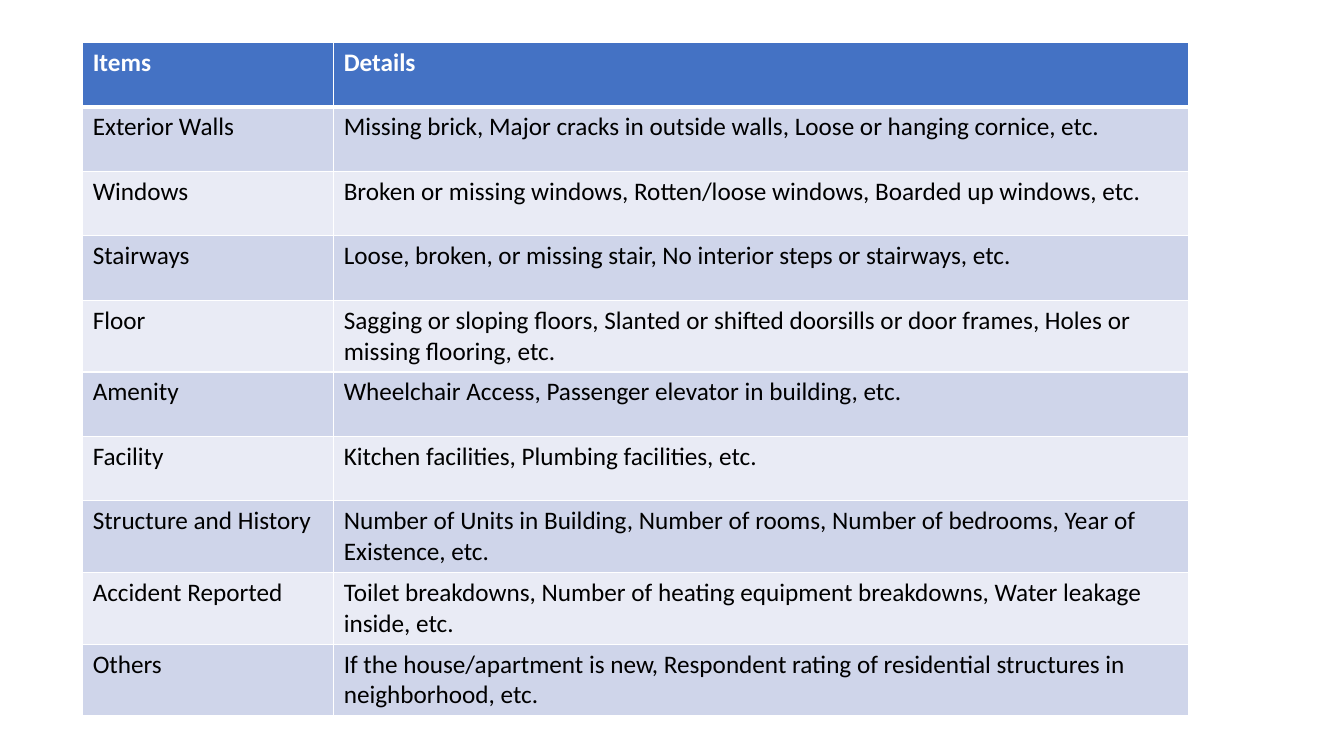
from dataclasses import dataclass

from lxml.etree import SubElement
from pptx import Presentation
from pptx.dml.color import RGBColor
from pptx.oxml.ns import qn
from pptx.table import _Cell
from pptx.util import Inches, Pt

COLORS = {
    "header": "4472C4",
    "odd_band": "CFD5EA",
    "even_band": "E9EBF5",
    "border": "FFFFFF",
    "header_text": "FFFFFF",
    "body_text": "000000",
}
FONT_NAME = "Calibri"
FONT_SIZE = Pt(18)
COLUMN_WIDTHS = (Inches(2.49), Inches(8.48))
ROW_HEIGHT = Inches(0.64)
THIN, THICK = Pt(1), Pt(3)


@dataclass(frozen=True)
class InspectionRow:
    item: str
    details: str


ROWS = [
    InspectionRow("Items", "Details"),
    InspectionRow("Exterior Walls", "Missing brick, Major cracks in outside walls, "
                  "Loose or hanging cornice, etc."),
    InspectionRow("Windows", "Broken or missing windows, Rotten/loose windows, "
                  "Boarded up windows, etc."),
    InspectionRow("Stairways", "Loose, broken, or missing stair, "
                  "No interior steps or stairways, etc."),
    InspectionRow("Floor", "Sagging or sloping floors, Slanted or shifted doorsills "
                  "or door frames, Holes or missing flooring, etc."),
    InspectionRow("Amenity", "Wheelchair Access, Passenger elevator in building, etc."),
    InspectionRow("Facility", "Kitchen facilities, Plumbing facilities, etc."),
    InspectionRow("Structure and History", "Number of Units in Building, Number of rooms, "
                  "Number of bedrooms, Year of Existence, etc."),
    InspectionRow("Accident Reported", "Toilet breakdowns, Number of heating equipment "
                  "breakdowns, Water leakage inside, etc."),
    InspectionRow("Others", "If the house/apartment is new, Respondent rating of "
                  "residential structures in neighborhood, etc."),
]


def set_borders(cell: _Cell, top: int, bottom: int) -> None:
    properties = cell._tc.get_or_add_tcPr()
    widths = {"a:lnL": THIN, "a:lnR": THIN, "a:lnT": top, "a:lnB": bottom}
    for tag, width in widths.items():
        line = SubElement(properties, qn(tag), w=str(int(width)))
        fill = SubElement(line, qn("a:solidFill"))
        SubElement(fill, qn("a:srgbClr"), val=COLORS["border"])


def format_cell(cell: _Cell, text: str, row_index: int) -> None:
    is_header = row_index == 0
    band = "header" if is_header else "odd_band" if row_index % 2 else "even_band"

    # Borders come before the fill in the cell properties
    set_borders(cell, top=THICK if row_index == 1 else THIN,
                bottom=THICK if is_header else THIN)
    cell.fill.solid()
    cell.fill.fore_color.rgb = RGBColor.from_string(COLORS[band])

    cell.text_frame.text = text
    font = cell.text_frame.paragraphs[0].runs[0].font
    font.name = FONT_NAME
    font.size = FONT_SIZE
    font.bold = is_header
    text_color = COLORS["header_text" if is_header else "body_text"]
    font.color.rgb = RGBColor.from_string(text_color)


def main() -> None:
    presentation = Presentation()
    presentation.slide_width = Inches(13.33)
    presentation.slide_height = Inches(7.5)
    slide = presentation.slides.add_slide(presentation.slide_layouts[6])

    # Table grid
    table = slide.shapes.add_table(
        len(ROWS), len(COLUMN_WIDTHS), Inches(0.82), Inches(0.42),
        sum(COLUMN_WIDTHS), ROW_HEIGHT * len(ROWS)).table
    for column, width in zip(table.columns, COLUMN_WIDTHS):
        column.width = width

    # Header and inspection items
    for row_index, row in enumerate(ROWS):
        table.rows[row_index].height = ROW_HEIGHT
        for column_index, text in enumerate((row.item, row.details)):
            format_cell(table.cell(row_index, column_index), text, row_index)

    presentation.save("out.pptx")


if __name__ == "__main__":
    main()
